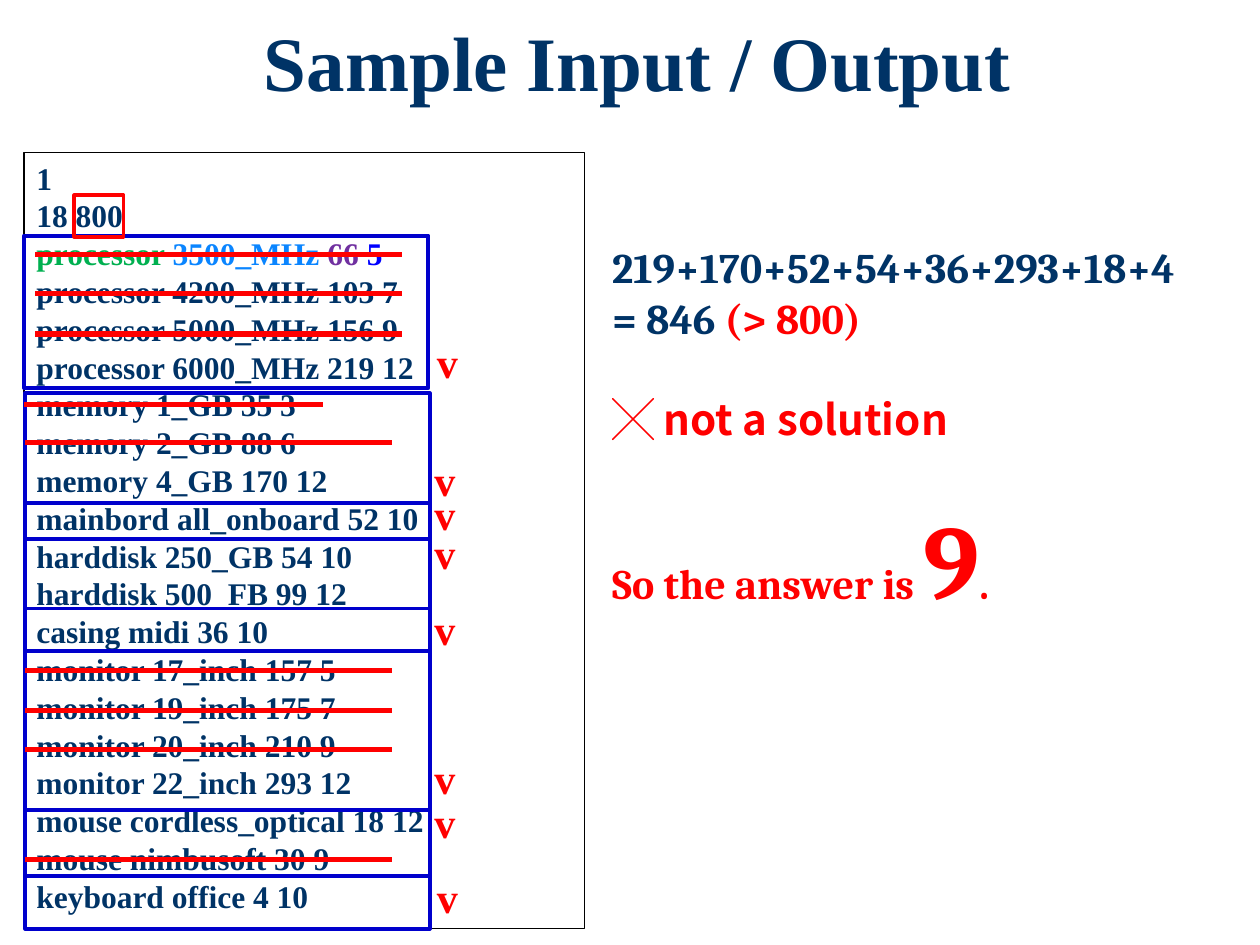
"""Build the sample input and output slide."""
from typing import NamedTuple, Optional

from lxml.etree import SubElement
from pptx import Presentation
from pptx.dml.color import RGBColor
from pptx.enum.shapes import MSO_CONNECTOR, MSO_SHAPE
from pptx.enum.text import MSO_ANCHOR, PP_ALIGN
from pptx.oxml.ns import qn
from pptx.util import Inches, Pt

RECTANGLE = MSO_SHAPE.RECTANGLE
STRAIGHT = MSO_CONNECTOR.STRAIGHT
TOP = MSO_ANCHOR.TOP
LEFT, CENTER = PP_ALIGN.LEFT, PP_ALIGN.CENTER

NAVY = RGBColor(0x00, 0x33, 0x66)
RED = RGBColor(0xFF, 0x00, 0x00)
BLUE = RGBColor(0x00, 0x00, 0xCC)
BRIGHT_BLUE = RGBColor(0x00, 0x00, 0xFF)
SKY = RGBColor(0x0A, 0x85, 0xFF)
GREEN = RGBColor(0x00, 0xB0, 0x50)
PURPLE = RGBColor(0x70, 0x30, 0xA0)
BLACK = RGBColor(0x00, 0x00, 0x00)
WHITE = RGBColor(0xFF, 0xFF, 0xFF)

SERIF, CAMBRIA, SANS = "Times New Roman", "Cambria", "Noto Sans CJK SC"


class Box(NamedTuple):
    """Position and size in inches."""
    left: float
    top: float
    width: float
    height: float


class Span(NamedTuple):
    """A piece of text with one format."""
    text: str
    size: float = 18
    color: RGBColor = NAVY
    font: str = SERIF


class Line(NamedTuple):
    """A paragraph with its spacing in points."""
    spans: list[Span]
    line_height: float = 21.6
    space_before: float = 0


class Strike(NamedTuple):
    """A horizontal stroke through a rejected part."""
    left: float
    y: float
    length: float = 2.91


INPUT_BOX = Box(0.19, 1.21, 4.45, 6.16)
BUDGET_BOX = Box(0.59, 1.55, 0.39, 0.33)
COLORED_ROW = Line([
    Span("processor ", color=GREEN), Span("3500_MHz ", color=SKY),
    Span("66 ", color=PURPLE), Span("5", color=BRIGHT_BLUE),
])
HEADER_ROWS = ["1", "18 800"]
PART_ROWS = [
    "processor 4200_MHz 103 7", "processor 5000_MHz 156 9", "processor 6000_MHz 219 12",
    "memory 1_GB 35 3", "memory 2_GB 88 6", "memory 4_GB 170 12",
    "mainbord all_onboard 52 10", "harddisk 250_GB 54 10", "harddisk 500_FB 99 12",
    "casing midi 36 10", "monitor 17_inch 157 5", "monitor 19_inch 175 7",
    "monitor 20_inch 210 9", "monitor 22_inch 293 12", "mouse cordless_optical 18 12",
    "mouse nimbusoft 30 9", "keyboard office 4 10",
]
PROCESSOR_BOX = Box(0.19, 1.87, 3.21, 1.21)
GROUP_EDGES = [3.12, 3.99, 4.28, 4.83, 5.17, 6.43, 6.95, 7.37]
CHECK_POINTS = [(3.37, 2.62), (3.35, 3.56), (3.35, 3.83), (3.35, 4.14),
                (3.35, 4.74), (3.35, 5.92), (3.35, 6.27), (3.37, 6.87)]
STRIKES = [
    *(Strike(0.28, y) for y in (2.02, 2.33, 2.65)),
    Strike(0.19, 3.21, 2.37),
    *(Strike(0.2, y) for y in (3.51, 5.32, 5.64, 5.95, 6.82)),
]
ANSWER = [
    Line([Span("219+170+52+54+36+293+18+4", 24, NAVY, CAMBRIA)], 28.8),
    Line([Span("= 846 ", 24, NAVY, CAMBRIA), Span("(> 800)", 24, RED, CAMBRIA)], 28.8),
    Line([Span("╳ not a solution", 24, RED, SANS)], 28.8, 29),
    Line([Span("So the answer is ", 24, RED, CAMBRIA), Span("9", 60, RED, CAMBRIA),
          Span(".", 24, RED, CAMBRIA)], 72, 29),
]


def set_values(target: object, values: dict) -> None:
    """Set each named attribute on the target."""
    for name, value in values.items():
        setattr(target, name, value)


def write_lines(shape, lines: list[Line], alignment=LEFT, wrap: bool = True) -> None:
    """Fill a shape with formatted paragraphs."""
    frame = shape.text_frame
    set_values(frame, {"word_wrap": wrap, "vertical_anchor": TOP})
    for index, line in enumerate(lines):
        paragraph = frame.add_paragraph() if index else frame.paragraphs[0]
        set_values(paragraph, {
            "alignment": alignment,
            "line_spacing": Pt(line.line_height),
            "space_before": Pt(line.space_before),
        })
        for span in line.spans:
            run = paragraph.add_run()
            run.text = span.text
            set_values(run.font, {"size": Pt(span.size), "bold": True, "name": span.font})
            run.font.color.rgb = span.color
            SubElement(run._r.get_or_add_rPr(), qn("a:ea"), typeface=span.font)


def add_text(slide, box: Box, lines: list[Line], alignment=LEFT, wrap: bool = True) -> None:
    """Add a text box."""
    write_lines(slide.shapes.add_textbox(*map(Inches, box)), lines, alignment, wrap)


def add_frame(slide, box: Box, color: RGBColor, width: float = 2.25,
              fill: Optional[RGBColor] = None):
    """Add an outlined rectangle, hollow unless a fill is given."""
    shape = slide.shapes.add_shape(RECTANGLE, *map(Inches, box))
    shape.shadow.inherit = False
    if fill is None:
        shape.fill.background()
    else:
        shape.fill.solid()
        shape.fill.fore_color.rgb = fill
    shape.line.color.rgb = color
    shape.line.width = Pt(width)
    return shape


def add_strike(slide, strike: Strike) -> None:
    """Add a red stroke."""
    y = Inches(strike.y)
    connector = slide.shapes.add_connector(
        STRAIGHT, Inches(strike.left), y, Inches(strike.left + strike.length), y)
    connector.line.color.rgb = RED
    connector.line.width = Pt(3)
    SubElement(connector._element.spPr, qn("a:effectLst"))


def main() -> None:
    """Build and save the presentation."""
    presentation = Presentation()
    set_values(presentation, {"slide_width": Inches(10), "slide_height": Inches(7.5)})
    slide = presentation.slides.add_slide(presentation.slide_layouts[6])

    add_text(slide, Box(1.06, 0.13, 8, 0.92),
             [Line([Span("Sample Input / Output", 44)], 48)], CENTER)

    rows = [Line([Span(text)]) for text in HEADER_ROWS]
    rows.append(COLORED_ROW)
    rows.extend(Line([Span(text)]) for text in PART_ROWS)
    write_lines(add_frame(slide, INPUT_BOX, BLACK, 1, WHITE), rows)

    add_frame(slide, PROCESSOR_BOX, BLUE)
    for top, bottom in zip(GROUP_EDGES, GROUP_EDGES[1:]):
        add_frame(slide, Box(0.2, top, 3.21, bottom - top), BLUE)
    add_frame(slide, BUDGET_BOX, RED)

    for left, top in CHECK_POINTS:
        add_text(slide, Box(left, top, 0.37, 0.5),
                 [Line([Span("v", 24, RED)], 28.8)], wrap=False)
    add_text(slide, Box(4.76, 1.87, 5.2, 3.13), ANSWER)
    for strike in STRIKES:
        add_strike(slide, strike)

    presentation.save("out.pptx")


if __name__ == "__main__":
    main()
